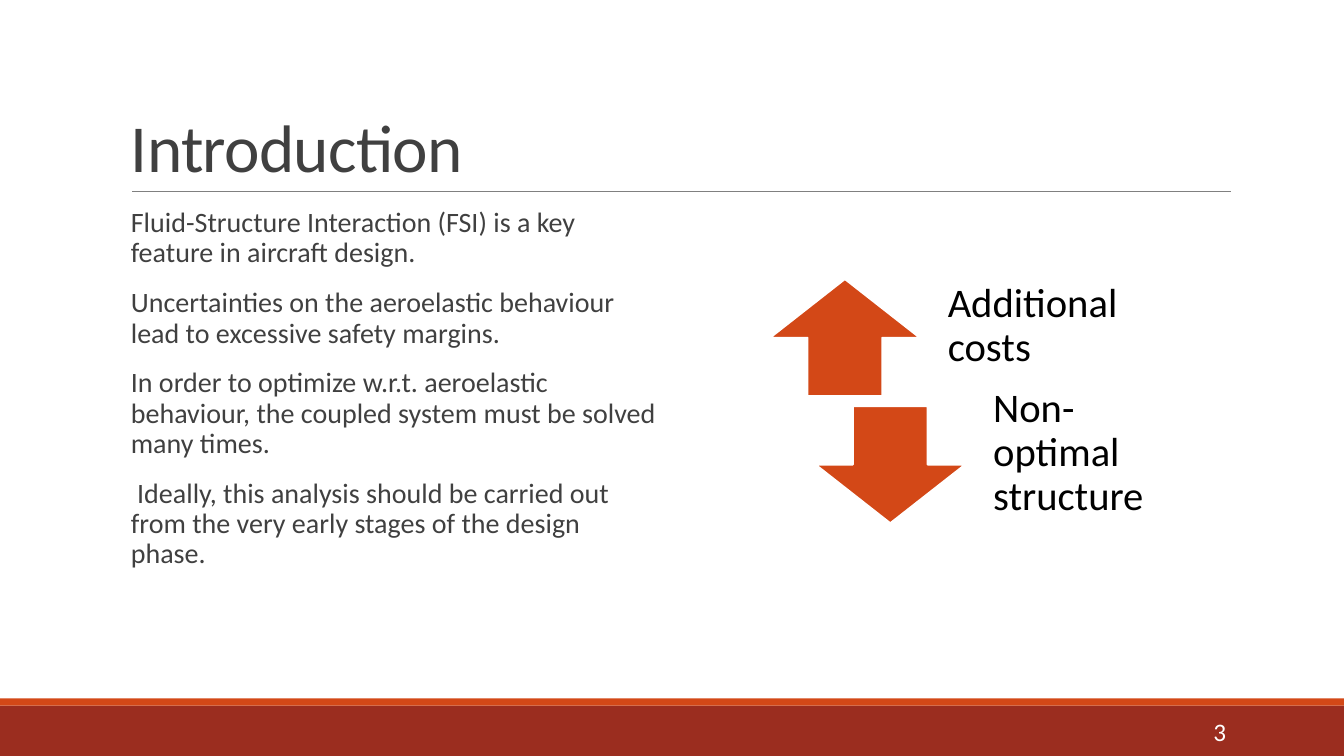
import pptx
import pptx.dml.color
import pptx.enum.shapes
import pptx.enum.text
import pptx.oxml.ns
import pptx.util
from lxml import etree

Inches = pptx.util.Inches
Pt = pptx.util.Pt
RGBColor = pptx.dml.color.RGBColor
Shape = pptx.enum.shapes.MSO_SHAPE
Anchor = pptx.enum.text.MSO_ANCHOR
Align = pptx.enum.text.PP_ALIGN

BRICK = RGBColor(0x9B, 0x2D, 0x1F)
ORANGE = RGBColor(0xD3, 0x48, 0x17)
GREY = RGBColor(0x80, 0x80, 0x80)
CHARCOAL = RGBColor(0x40, 0x40, 0x40)
BLACK = RGBColor(0, 0, 0)
WHITE = RGBColor(0xFF, 0xFF, 0xFF)

SLIDE_WIDTH = 13.33
ARROW_SIZE = (1.48, 1.16)
LABEL_OFFSET = 1.53
LABEL_WIDTH = 2.52

POINTS = [
    "Fluid-Structure Interaction (FSI) is a key feature in aircraft design.",
    "Uncertainties on the aeroelastic behaviour lead to excessive safety margins.",
    "In order to optimize w.r.t. aeroelastic behaviour, the coupled system must be solved many times.",
    " Ideally, this analysis should be carried out from the very early stages of the design phase.",
]
EFFECTS = [
    (Shape.UP_ARROW, 7.64, 2.77, "Additional costs"),
    (Shape.DOWN_ARROW, 8.09, 4.03, "Non-optimal structure"),
]


def add_text(slide, at, paragraphs, *, size, color, anchor=Anchor.TOP, align=Align.LEFT,
             insets=(0.1, 0.05, 0.1, 0.05), line_spacing=1.0, before=0, after=0, tracking=0):
    """Add a text box; insets run left, top, right, bottom and tracking is in points."""
    frame = slide.shapes.add_textbox(*map(Inches, at)).text_frame
    frame.word_wrap = True
    frame.vertical_anchor = anchor
    (frame.margin_left, frame.margin_top,
     frame.margin_right, frame.margin_bottom) = map(Inches, insets)
    for index, text in enumerate(paragraphs):
        para = frame.add_paragraph() if index else frame.paragraphs[0]
        para.alignment = align
        para.line_spacing = line_spacing
        para.space_before = Pt(before)
        para.space_after = Pt(after)
        span = para.add_run()
        span.text = text
        span.font.name = "Calibri"
        span.font.size = Pt(size)
        span.font.color.rgb = color
        if tracking:
            span._r.get_or_add_rPr().set("spc", str(round(tracking * 100)))


def add_filled_shape(slide, kind, at, fill, outline=None):
    shape = slide.shapes.add_shape(kind, *map(Inches, at))
    shape.shadow.inherit = False
    shape.fill.solid()
    shape.fill.fore_color.rgb = fill
    if outline is None:
        shape.line.fill.background()
    else:
        shape.line.color.rgb = outline
        shape.line.width = Pt(1.25)


def add_rule(slide, left, right, top):
    rule = slide.shapes.add_connector(
        pptx.enum.shapes.MSO_CONNECTOR.STRAIGHT,
        Inches(left), Inches(top), Inches(right), Inches(top))
    rule.line.color.rgb = GREY
    rule.line.width = Pt(0.5)
    etree.SubElement(rule._element.spPr, pptx.oxml.ns.qn("a:effectLst"))


def add_effect(slide, arrow, left, top, label):
    """Add an arrow with its label to the right."""
    width, height = ARROW_SIZE
    add_filled_shape(slide, arrow, (left, top, width, height), ORANGE, WHITE)
    add_text(slide, (left + LABEL_OFFSET, top, LABEL_WIDTH, height), [label],
             size=29, color=BLACK, anchor=Anchor.MIDDLE,
             insets=(0.23, 0, 0.23, 0.23), line_spacing=0.9)


def main():
    deck = pptx.Presentation()
    deck.slide_width = Inches(SLIDE_WIDTH)
    deck.slide_height = Inches(7.5)
    slide = deck.slides.add_slide(deck.slide_layouts[6])

    add_filled_shape(slide, Shape.RECTANGLE, (0, 7, SLIDE_WIDTH, 0.5), BRICK)
    add_filled_shape(slide, Shape.RECTANGLE, (0, 6.93, SLIDE_WIDTH, 0.07), ORANGE)
    add_rule(slide, 1.31, 12.21, 1.9)

    add_text(slide, (1.2, 0.31, 11, 1.59), ["Introduction"], size=48, color=CHARCOAL,
             anchor=Anchor.BOTTOM, line_spacing=0.85, tracking=-0.5)
    add_text(slide, (1.2, 2.02, 5.34, 4.4), POINTS, size=20, color=CHARCOAL,
             insets=(0.1, 0.05, 0, 0.05), line_spacing=0.9, before=12, after=2)
    for effect in EFFECTS:
        add_effect(slide, *effect)
    add_text(slide, (10.83, 7.06, 1.43, 0.4), ["3"], size=18, color=WHITE,
             anchor=Anchor.MIDDLE, align=Align.RIGHT)

    deck.save("out.pptx")


if __name__ == "__main__":
    main()
